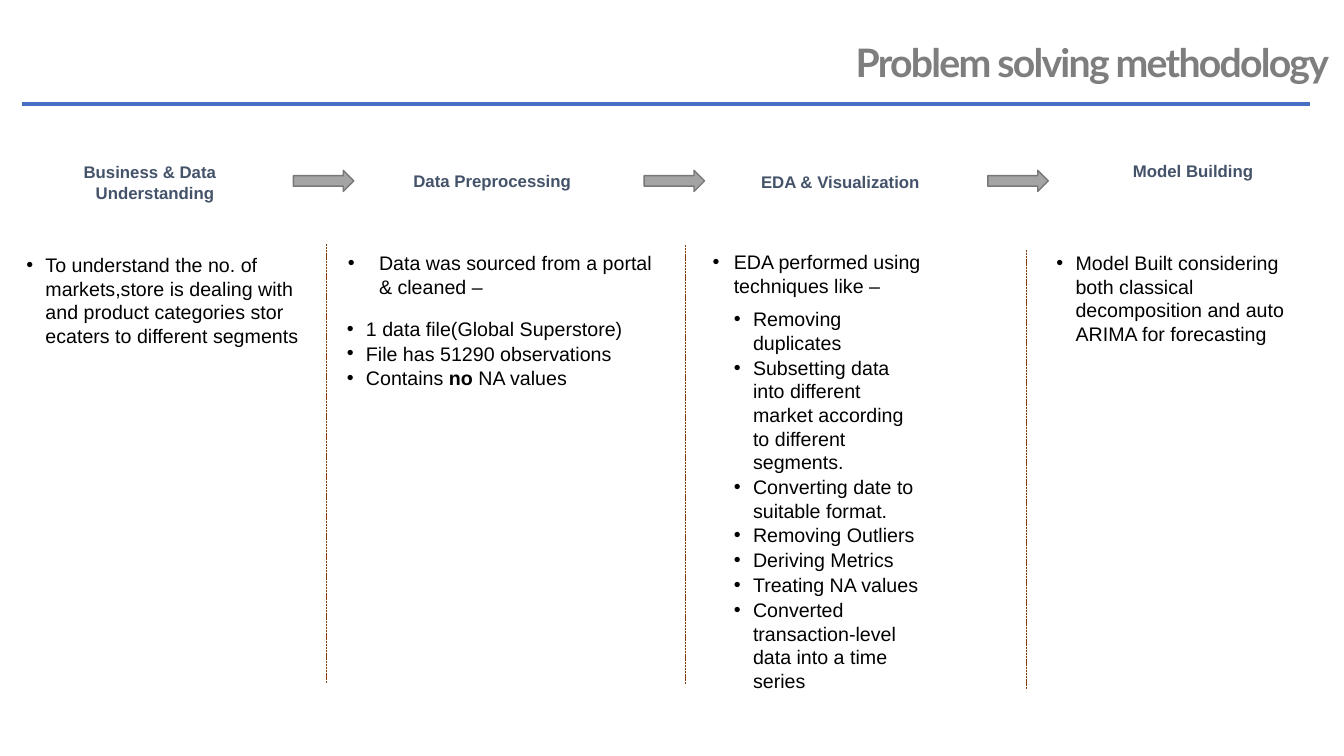
"""Build the four-stage problem solving methodology slide."""
from dataclasses import dataclass

from lxml.etree import SubElement
from pptx import Presentation
from pptx.dml.color import RGBColor
from pptx.enum.dml import MSO_LINE
from pptx.enum.shapes import MSO_CONNECTOR, MSO_SHAPE
from pptx.oxml.ns import qn
from pptx.slide import Slide
from pptx.util import Inches, Pt

SLIDE_WIDTH, SLIDE_HEIGHT = Inches(13.33), Inches(7.5)
COLUMN, ROW = SLIDE_WIDTH / 100, SLIDE_HEIGHT / 100

TITLE_GRAY = RGBColor(0x7E, 0x7E, 0x7E)
HEADING_BLUE = RGBColor(0x44, 0x53, 0x6A)
BLACK = RGBColor(0, 0, 0)
RULE_BLUE = RGBColor(0x44, 0x71, 0xC4)
DIVIDER_BROWN = RGBColor(0x84, 0x3B, 0x0C)
ARROW_FILL = RGBColor(0xA4, 0xA4, 0xA4)
ARROW_LINE = RGBColor(0x78, 0x78, 0x78)

ARROW_TOP, ARROW_WIDTH, ARROW_HEIGHT = 22.53, 4.5, 2.8
DIVIDER_LENGTH = 58.13


@dataclass(frozen=True)
class TextStyle:
    """Font, colour, letter spacing and bullet of a kind of text."""
    font: dict
    color: RGBColor
    spacing: float = 0
    bullet: str = ""


@dataclass(frozen=True)
class TextBlock:
    """Text at a grid position, with margin and first-line indent in inches."""
    left: float
    top: float
    width: float
    height: float
    style: TextStyle
    lines: tuple[str, ...]
    margin: float = 0.2
    indent: float = -0.19


@dataclass(frozen=True)
class Stroke:
    """A straight line between two grid points."""
    start: tuple[float, float]
    end: tuple[float, float]
    color: RGBColor
    weight: float
    dash: MSO_LINE = MSO_LINE.SOLID


TITLE = TextStyle({"name": "Lato", "size": Pt(28), "bold": True}, TITLE_GRAY, -1.25)
HEADING = TextStyle({"name": "Arial", "size": Pt(12), "bold": True}, HEADING_BLUE)
BODY = TextStyle({"name": "Arial", "size": Pt(14)}, BLACK, bullet="•")

BLOCKS = (
    TextBlock(63.6, 4.93, 36.4, 6.53, TITLE, ("Problem solving methodology",), 0.01, 0),
    TextBlock(6.15, 21.33, 10.05, 5.73, HEADING, ("Business & Data Understanding",), 0.13, -0.12),
    TextBlock(30.68, 22.4, 11.93, 3.07, HEADING, ("Data Preprocessing",), 0.01, 0),
    TextBlock(56.55, 22.53, 12, 3.07, HEADING, ("EDA & Visualization",), 0.01, 0),
    TextBlock(82.65, 21.07, 11.4, 2.93, HEADING, ("Model Building",), 0.01, 0.21),
    TextBlock(1.88, 33.33, 21.15, 12.8, BODY, (
        "To understand the no. of markets,store is dealing with and product "
        "categories stor ecaters to different segments",)),
    TextBlock(25.73, 33.07, 23.03, 6.67, BODY, (
        "Data was sourced from a portal & cleaned –",), 0.33, -0.31),
    TextBlock(25.73, 41.73, 22.28, 13.2, BODY, (
        "1 data file(Global Superstore)",
        "File has 51290 observations",
        "Contains **no** NA values")),
    TextBlock(52.95, 32.93, 15.6, 6.67, BODY, (
        "EDA performed using techniques like –",), 0.22, -0.21),
    TextBlock(54.53, 40.53, 14.03, 51.33, BODY, (
        "Removing duplicates",
        "Subsetting data into different market according to different segments.",
        "Converting date to suitable format.",
        "Removing Outliers",
        "Deriving Metrics",
        "Treating NA values",
        "Converted transaction-level data into a time series")),
    TextBlock(78.53, 33.07, 19.35, 12.8, BODY, (
        "Model Built considering both classical decomposition and auto ARIMA "
        "for forecasting",)),
)
ARROW_LEFTS = (21.83, 47.93, 73.5)
DIVIDERS = ((24.3, 32.27), (51, 32.4), (76.35, 33.07))
STROKES = (
    Stroke((1.65, 13.73), (97.5, 13.73), RULE_BLUE, 3),
    *(Stroke((left, top), (left, top + DIVIDER_LENGTH), DIVIDER_BROWN, 0.5,
             MSO_LINE.SQUARE_DOT) for left, top in DIVIDERS),
)


def across(columns: float) -> int:
    """Turn grid columns into a length."""
    return round(columns * COLUMN)


def down(rows: float) -> int:
    """Turn grid rows into a length."""
    return round(rows * ROW)


def add_text(slide: Slide, block: TextBlock) -> None:
    """Draw a text block; doubled asterisks enclose bold words."""
    shape = slide.shapes.add_textbox(across(block.left), down(block.top),
                                     across(block.width), down(block.height))
    frame = shape.text_frame
    settings = {"word_wrap": True, "margin_left": 0, "margin_right": 0,
                "margin_top": Inches(0.01), "margin_bottom": 0}
    for name, value in settings.items():
        setattr(frame, name, value)
    for index, line in enumerate(block.lines):
        paragraph = frame.add_paragraph() if index else frame.paragraphs[0]
        if index:
            paragraph.space_before = Pt(1)
        properties = paragraph._p.get_or_add_pPr()
        properties.set("marL", str(Inches(block.margin)))
        properties.set("indent", str(Inches(block.indent)))
        if block.style.bullet:
            SubElement(properties, qn("a:buFont")).set("typeface", "Arial")
            SubElement(properties, qn("a:buChar")).set("char", block.style.bullet)
        for position, words in enumerate(line.split("**")):
            run = paragraph.add_run()
            run.text = words
            for name, value in block.style.font.items():
                setattr(run.font, name, value)
            run.font.color.rgb = block.style.color
            if position % 2:
                run.font.bold = True
            if block.style.spacing:
                run._r.get_or_add_rPr().set("spc", str(round(block.style.spacing * 100)))


def add_arrow(slide: Slide, left: float) -> None:
    """Draw an arrow between two stage headings."""
    shape = slide.shapes.add_shape(MSO_SHAPE.RIGHT_ARROW, across(left), down(ARROW_TOP),
                                   across(ARROW_WIDTH), down(ARROW_HEIGHT))
    shape.shadow.inherit = False
    shape.fill.solid()
    shape.fill.fore_color.rgb = ARROW_FILL
    shape.line.color.rgb = ARROW_LINE
    shape.line.width = Pt(1)


def add_stroke(slide: Slide, stroke: Stroke) -> None:
    """Draw a straight line."""
    connector = slide.shapes.add_connector(
        MSO_CONNECTOR.STRAIGHT, across(stroke.start[0]), down(stroke.start[1]),
        across(stroke.end[0]), down(stroke.end[1]))
    connector.line.color.rgb = stroke.color
    connector.line.width = Pt(stroke.weight)
    connector.line.dash_style = stroke.dash
    SubElement(connector._element.spPr, qn("a:effectLst"))


def main() -> None:
    """Build and save the presentation."""
    presentation = Presentation()
    presentation.slide_width, presentation.slide_height = SLIDE_WIDTH, SLIDE_HEIGHT
    slide = presentation.slides.add_slide(presentation.slide_layouts[6])
    for stroke in STROKES:
        add_stroke(slide, stroke)
    for left in ARROW_LEFTS:
        add_arrow(slide, left)
    for block in BLOCKS:
        add_text(slide, block)
    presentation.save("out.pptx")


if __name__ == "__main__":
    main()
